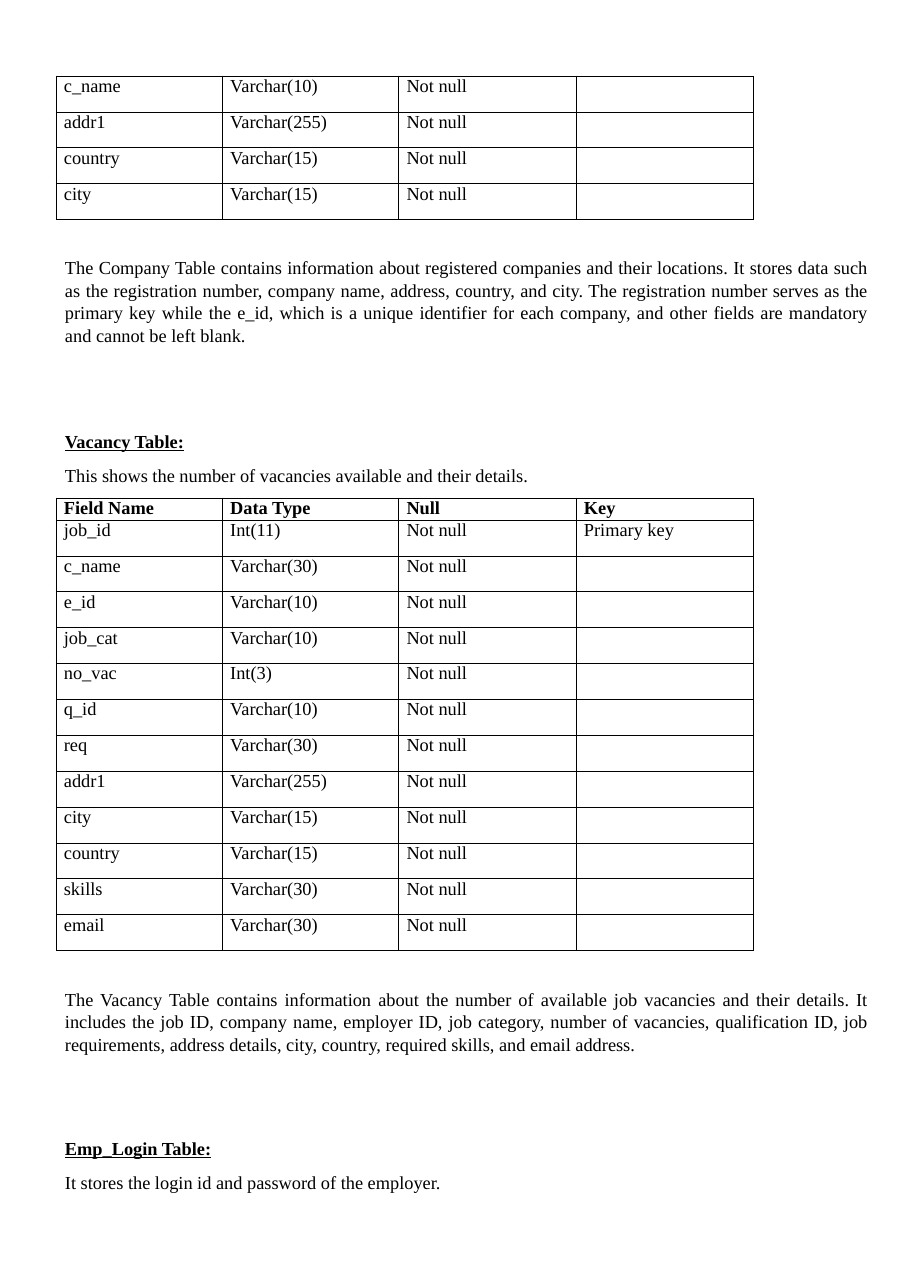
from lxml import etree
from pptx import Presentation
from pptx.dml.color import RGBColor
from pptx.enum.text import MSO_ANCHOR, MSO_AUTO_SIZE, PP_ALIGN
from pptx.oxml.ns import qn
from pptx.util import Inches, Pt

BLACK = RGBColor(0x00, 0x00, 0x00)
FONT = "Times New Roman"
SIZE = Pt(12)
BORDER = Pt(0.58)
LEFT, JUSTIFY = PP_ALIGN.LEFT, PP_ALIGN.JUSTIFY
TOP = MSO_ANCHOR.TOP
NO_AUTOFIT = MSO_AUTO_SIZE.NONE
TITLE_ONLY = 5
TEXT_LEFT = 0.58
TABLE_LEFT = 0.51
COLUMN_WIDTHS = [1.51, 1.6, 1.61, 1.61]
ROW_HEIGHT = 3.91 / 12
HEADER_HEIGHT = 0.2

COMPANY_FIELDS = [
    ("c_name", "Varchar(10)"),
    ("addr1", "Varchar(255)"),
    ("country", "Varchar(15)"),
    ("city", "Varchar(15)"),
]
VACANCY_HEADER = ("Field Name", "Data Type", "Null", "Key")
VACANCY_FIELDS = [
    ("job_id", "Int(11)", "Primary key"),
    ("c_name", "Varchar(30)"),
    ("e_id", "Varchar(10)"),
    ("job_cat", "Varchar(10)"),
    ("no_vac", "Int(3)"),
    ("q_id", "Varchar(10)"),
    ("req", "Varchar(30)"),
    ("addr1", "Varchar(255)"),
    ("city", "Varchar(15)"),
    ("country", "Varchar(15)"),
    ("skills", "Varchar(30)"),
    ("email", "Varchar(30)"),
]
COMPANY_TEXT = (
    "The Company Table contains information about registered companies and their "
    "locations. It stores data such as the registration number, company name, address, "
    "country, and city. The registration number serves as the primary key while the e_id, "
    "which is a unique identifier for each company, and other fields are mandatory and "
    "cannot be left blank."
)
VACANCY_TEXT = (
    "The Vacancy Table contains information about the number of available job vacancies "
    "and their details. It includes the job ID, company name, employer ID, job category, "
    "number of vacancies, qualification ID, job requirements, address details, city, "
    "country, required skills, and email address."
)


class SchemaPage:
    """Hold the text style and the slide, and add each kind of element."""

    def __init__(self, slide):
        """Keep the slide to draw on."""
        self.slide = slide

    def styled_run(self, paragraph, text, indent, bold=False, underline=False):
        """Add one styled run to an indented paragraph."""
        properties = paragraph._p.get_or_add_pPr()
        properties.set("marL", str(Inches(indent)))
        properties.set("indent", "0")
        run = paragraph.add_run()
        run.text = text
        font = run.font
        font.name, font.size = FONT, SIZE
        font.bold, font.underline = bold, underline
        font.color.rgb = BLACK

    def frame(self, shape, top, width, height):
        """Place a text shape and return its plain, unpadded text frame."""
        shape.left, shape.top = Inches(TEXT_LEFT), Inches(top)
        shape.width, shape.height = Inches(width), Inches(height)
        frame = shape.text_frame
        frame.word_wrap = True
        frame.auto_size = NO_AUTOFIT
        frame.vertical_anchor = TOP
        frame.margin_left = frame.margin_right = 0
        frame.margin_top = frame.margin_bottom = 0
        return frame

    def text_box(self):
        """Add an empty text box."""
        return self.slide.shapes.add_textbox(0, 0, 0, 0)

    def heading(self, shape, top, width, title, summary):
        """Fill a shape with an underlined heading and its summary line."""
        frame = self.frame(shape, top, width, 0.51)
        first = frame.paragraphs[0]
        first.alignment = LEFT
        self.styled_run(first, title, 0.01, bold=True, underline=True)
        second = frame.add_paragraph()
        second.alignment = LEFT
        second.space_before = Pt(8.2)
        self.styled_run(second, summary, 0.01)

    def description(self, top, height, text):
        """Add a justified paragraph across the page."""
        frame = self.frame(self.text_box(), top, 7.31, height)
        paragraph = frame.paragraphs[0]
        paragraph.alignment = JUSTIFY
        paragraph.line_spacing = 1.03
        self.styled_run(paragraph, text, 0.01)

    def border(self, cell):
        """Draw a thin black line on all four sides of a cell."""
        properties = cell._tc.get_or_add_tcPr()
        for side in ("a:lnL", "a:lnR", "a:lnT", "a:lnB"):
            line = etree.SubElement(properties, qn(side), w=str(BORDER))
            fill = etree.SubElement(line, qn("a:solidFill"))
            etree.SubElement(fill, qn("a:srgbClr"), val=str(BLACK))

    def field_table(self, top, fields, header=None):
        """Add a table of mandatory fields with an optional header row."""
        rows = [(name, kind, "Not null", *key) for name, kind, *key in fields]
        heights = [ROW_HEIGHT] * len(rows)
        if header:
            rows.insert(0, header)
            heights.insert(0, HEADER_HEIGHT)
        table = self.slide.shapes.add_table(
            len(rows), len(COLUMN_WIDTHS), Inches(TABLE_LEFT), Inches(top),
            Inches(sum(COLUMN_WIDTHS)), Inches(sum(heights))
        ).table
        table.first_row = table.horz_banding = False
        for column, width in zip(table.columns, COLUMN_WIDTHS):
            column.width = Inches(width)
        for row, height, texts in zip(table.rows, heights, rows):
            row.height = Inches(height)
            for cell in row.cells:
                cell.margin_left = cell.margin_right = 0
                cell.margin_top = cell.margin_bottom = 0
                self.border(cell)
                cell.fill.background()
            for cell, text in zip(row.cells, texts):
                paragraph = cell.text_frame.paragraphs[0]
                self.styled_run(paragraph, text, 0.07, bold=texts is header)


def main():
    """Build the page and save it."""
    presentation = Presentation()
    presentation.slide_width = Inches(8.26)
    presentation.slide_height = Inches(11.69)
    slide = presentation.slides.add_slide(presentation.slide_layouts[TITLE_ONLY])
    page = SchemaPage(slide)
    page.field_table(0.69, COMPANY_FIELDS)
    page.description(2.32, 0.81, COMPANY_TEXT)
    page.heading(slide.shapes.title, 3.9, 4.24, "Vacancy Table:",
                 "This shows the number of vacancies available and their details.")
    page.field_table(4.52, VACANCY_FIELDS, VACANCY_HEADER)
    page.description(8.96, 0.61, VACANCY_TEXT)
    page.heading(page.text_box(), 10.32, 3.45, "Emp_Login Table:",
                 "It stores the login id and password of the employer.")
    presentation.save("out.pptx")


if __name__ == "__main__":
    main()
